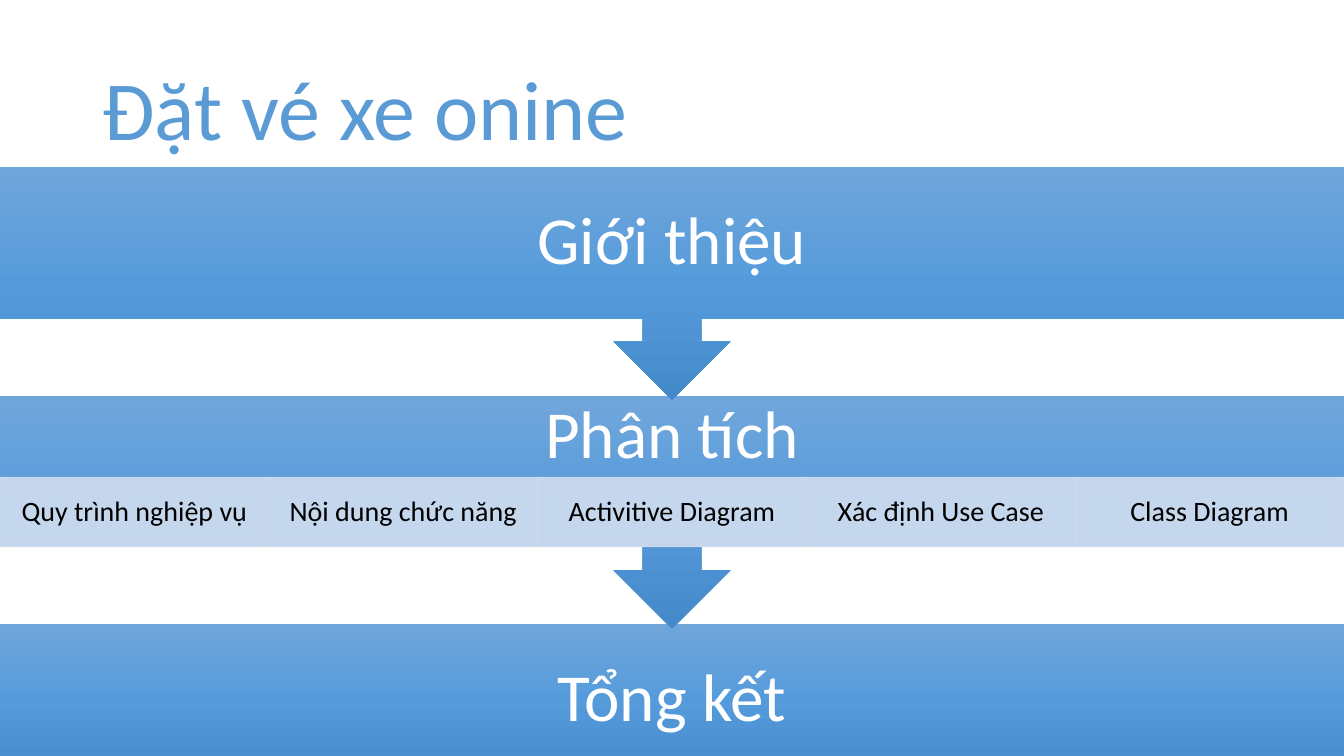
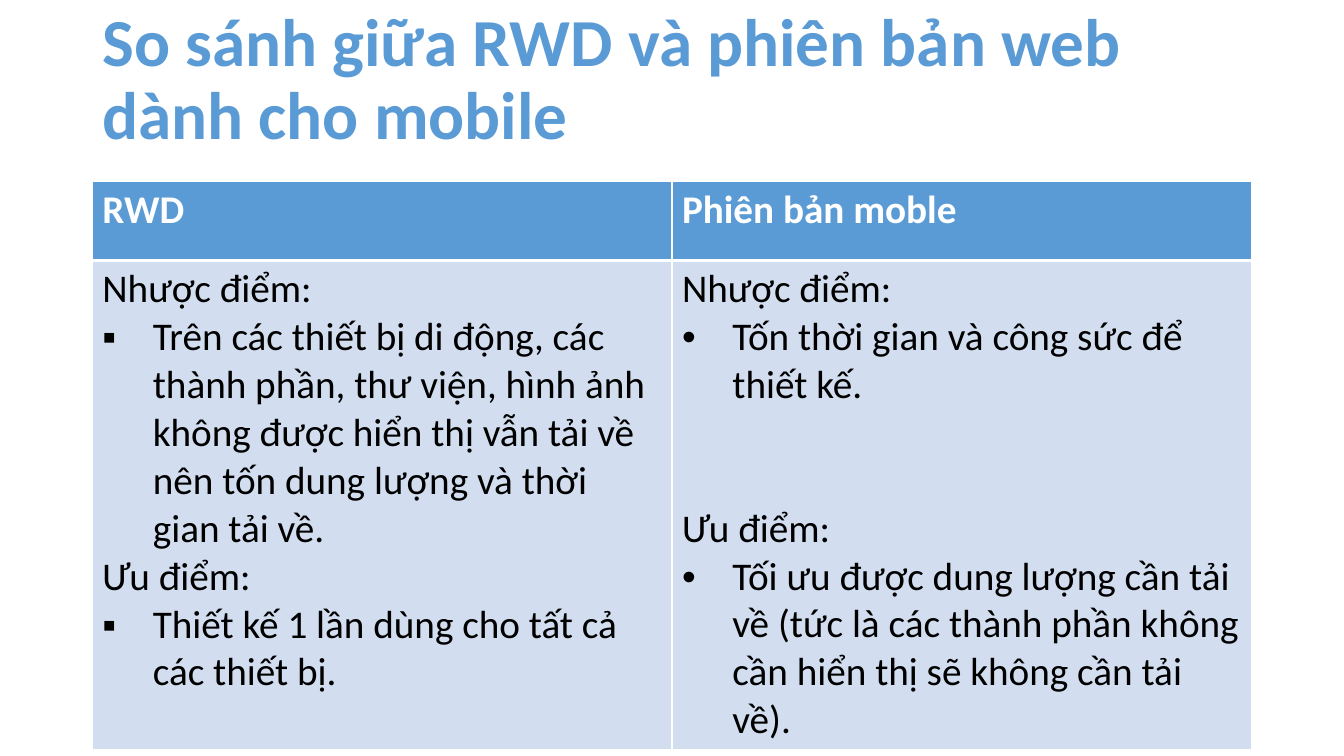
import copy
import dataclasses

import lxml.etree
import pptx
import pptx.dml.color
import pptx.enum.shapes
import pptx.enum.text
import pptx.oxml.ns
import pptx.util

SHAPE = pptx.enum.shapes.MSO_SHAPE
ALIGN = pptx.enum.text.PP_ALIGN
ANCHOR = pptx.enum.text.MSO_ANCHOR
qn = pptx.oxml.ns.qn


@dataclasses.dataclass(frozen=True)
class Theme:
    """Colours, font and type sizes of the whole presentation."""
    font: str = "Calibri"
    accent: str = "5B9BD5"
    pale: str = "D2DEEF"
    white: str = "FFFFFF"
    black: str = "000000"
    gradient: tuple = ((0, "71A6DB"), (0.5, "559BDB"), (1, "448ACA"))
    cover_size: int = 60
    heading_size: int = 48
    body_size: int = 28
    label_size: int = 20


THEME = Theme()
COLUMNS, ROWS = 160, 90  # a square grid, twelve units to the inch
UNIT = pptx.util.Inches(1 / 12)
MARGIN = 11
CONTENT_WIDTH = COLUMNS - 2 * MARGIN


def units(count):
    """Turn grid units into a length."""
    return pptx.util.Emu(round(count * UNIT))


def rgb(value):
    """Turn a hex string into a colour."""
    return pptx.dml.color.RGBColor.from_string(value)


def write(paragraph, words, *, size, color, bold=False, align=ALIGN.LEFT,
          line_spacing=None, space_before=0, bullet=None):
    """Write one formatted paragraph, optionally with a bullet."""
    run = paragraph.add_run()
    run.text = words
    run.font.name, run.font.size, run.font.bold = THEME.font, pptx.util.Pt(size), bold
    run.font.color.rgb = rgb(color)
    paragraph.alignment = align
    paragraph.space_before = pptx.util.Pt(space_before)
    if line_spacing:
        paragraph.line_spacing = line_spacing
    if bullet:
        properties = paragraph._p.get_or_add_pPr()
        properties.set("marL", str(units(6)))
        properties.set("indent", str(-units(6)))
        lxml.etree.SubElement(properties, qn("a:buFont"), typeface="Arial")
        lxml.etree.SubElement(properties, qn("a:buChar"), char=bullet)


def set_opacity(solid_fill, percent):
    """Make the colour of a solid fill element partly transparent."""
    lxml.etree.SubElement(solid_fill[0], qn("a:alpha"), val=str(percent * 1000))


def draw_borders(cell, bottom):
    """Give a cell white borders, with its own bottom width in points."""
    properties = cell._tc.get_or_add_tcPr()
    for index, (side, width) in enumerate(zip("LRTB", (1, 1, 1, bottom))):
        line = lxml.etree.Element(qn("a:ln" + side), w=str(pptx.util.Pt(width)))
        fill = lxml.etree.SubElement(line, qn("a:solidFill"))
        lxml.etree.SubElement(fill, qn("a:srgbClr"), val=THEME.white)
        properties.insert(index, line)


class Deck:
    """Holds the presentation and the slide being drawn."""

    def __init__(self):
        """Start a wide presentation."""
        self.presentation = pptx.Presentation()
        self.presentation.slide_width = units(COLUMNS)
        self.presentation.slide_height = units(ROWS)
        self.slide = None

    def new_slide(self, heading, top, height, size, bold=False):
        """Add a title-only slide with its heading in place."""
        self.slide = self.presentation.slides.add_slide(
            self.presentation.slide_layouts[5])
        title = self.slide.shapes.title
        title.left, title.top = units(MARGIN), units(top)
        title.width, title.height = units(CONTENT_WIDTH), units(height)
        frame = title.text_frame
        frame.word_wrap = True
        frame.auto_size = pptx.enum.text.MSO_AUTO_SIZE.NONE
        frame.vertical_anchor = ANCHOR.MIDDLE
        write(frame.paragraphs[0], heading, size=size, color=THEME.accent,
              bold=bold, line_spacing=0.9)

    def block(self, preset, box, words, *, size, color, bottom_inset=0):
        """Add a preset shape with centred words."""
        shape = self.slide.shapes.add_shape(preset, *map(units, box))
        shape.shadow.inherit = False
        frame = shape.text_frame
        frame.word_wrap = True
        frame.vertical_anchor = ANCHOR.MIDDLE
        frame.margin_left = frame.margin_right = units(1)
        frame.margin_top, frame.margin_bottom = 0, units(bottom_inset)
        write(frame.paragraphs[0], words, size=size, color=color,
              align=ALIGN.CENTER, line_spacing=0.9)
        return shape

    def step(self, preset, top, height, words, bottom_inset=0):
        """Add a full-width gradient step."""
        band = self.block(preset, (0, top, COLUMNS, height), words,
                          size=THEME.heading_size, color=THEME.white,
                          bottom_inset=bottom_inset)
        band.line.fill.background()
        band.fill.gradient()
        band.fill.gradient_angle = 270
        stops = band._element.spPr.find(".//" + qn("a:gsLst"))
        stops.append(copy.deepcopy(stops[-1]))
        for stop, (position, color) in zip(band.fill.gradient_stops, THEME.gradient):
            stop.position = position
            stop.color.rgb = rgb(color)

    def substeps(self, top, height, labels):
        """Add equal pale cells across the slide."""
        width = COLUMNS / len(labels)
        for index, label in enumerate(labels):
            cell = self.block(SHAPE.RECTANGLE, (index * width, top, width, height),
                              label, size=THEME.label_size, color=THEME.black)
            cell.fill.solid()
            cell.fill.fore_color.rgb = rgb(THEME.pale)
            cell.line.width = pptx.util.Pt(0.5)
            cell.line.color.rgb = rgb(THEME.pale)
            for solid_fill in cell._element.spPr.iter(qn("a:solidFill")):
                set_opacity(solid_fill, 90)

    def comparison(self, top, row_heights, columns):
        """Add a table of headed columns, each with a list of paragraphs."""
        table = self.slide.shapes.add_table(
            2, len(columns), units(MARGIN), units(top), units(CONTENT_WIDTH),
            units(sum(row_heights))).table
        for row, height in zip(table.rows, row_heights):
            row.height = units(height)
        for index, (heading, points) in enumerate(columns):
            head, body = table.cell(0, index), table.cell(1, index)
            for cell, color, bottom in ((head, THEME.accent, 3), (body, THEME.pale, 1)):
                cell.fill.solid()
                cell.fill.fore_color.rgb = rgb(color)
                draw_borders(cell, bottom)
            write(head.text_frame.paragraphs[0], heading, size=THEME.body_size,
                  color=THEME.white, bold=True)
            frame = body.text_frame
            for number, (words, options) in enumerate(points):
                paragraph = frame.add_paragraph() if number else frame.paragraphs[0]
                write(paragraph, words, size=THEME.body_size, color=THEME.black,
                      **options)


def pros_and_cons(drawback, benefit, bullet, gap=0):
    """List a drawback and a benefit, with a gap in points between them."""
    return [("Nhược điểm:", {}), (drawback, {"bullet": bullet}),
            ("Ưu điểm:", {"space_before": gap}), (benefit, {"bullet": bullet})]


def build_agenda(deck):
    """Draw the steps of the talk from the last up to the first."""
    deck.new_slide("Đặt vé xe onine", 4.8, 17.4, THEME.cover_size)
    first_top, pitch, band, callout, labels_height = 19.9, 27.2, 18, 27.7, 8.3
    analysis_top = first_top + pitch
    deck.step(SHAPE.RECTANGLE, first_top + 2 * pitch, band, "Tổng kết")
    deck.step(SHAPE.DOWN_ARROW_CALLOUT, analysis_top, callout, "Phân tích",
              bottom_inset=labels_height)
    deck.substeps(analysis_top + band - labels_height, labels_height,
                  ["Quy trình nghiệp vụ", "Nội dung chức năng", "Activitive Diagram",
                   "Xác định Use Case", "Class Diagram"])
    deck.step(SHAPE.DOWN_ARROW_CALLOUT, first_top, callout, "Giới thiệu")


def build_comparison(deck):
    """Draw the comparison of responsive design and a mobile version."""
    deck.new_slide("So sánh giữa RWD và phiên bản web dành cho mobile",
                   3.6, 12.2, THEME.heading_size, bold=True)
    responsive = pros_and_cons(
        "Trên các thiết bị di động, các thành phần, thư viện, hình ảnh không được "
        "hiển thị vẫn tải về nên tốn dung lượng và thời gian tải về.",
        "Thiết kế 1 lần dùng cho tất cả các thiết bị.", "▪")
    mobile = pros_and_cons(
        "Tốn thời gian và công sức để thiết kế.",
        "Tối ưu được dung lượng cần tải về (tức là các thành phần không cần hiển thị "
        "sẽ không cần tải về).", "•", gap=68.4)
    deck.comparison(21.6, (9.4, 57.2),
                    [("RWD", responsive), ("Phiên bản moble", mobile)])


def main():
    """Build and save the presentation."""
    deck = Deck()
    build_agenda(deck)
    build_comparison(deck)
    deck.presentation.save("out.pptx")


main()
